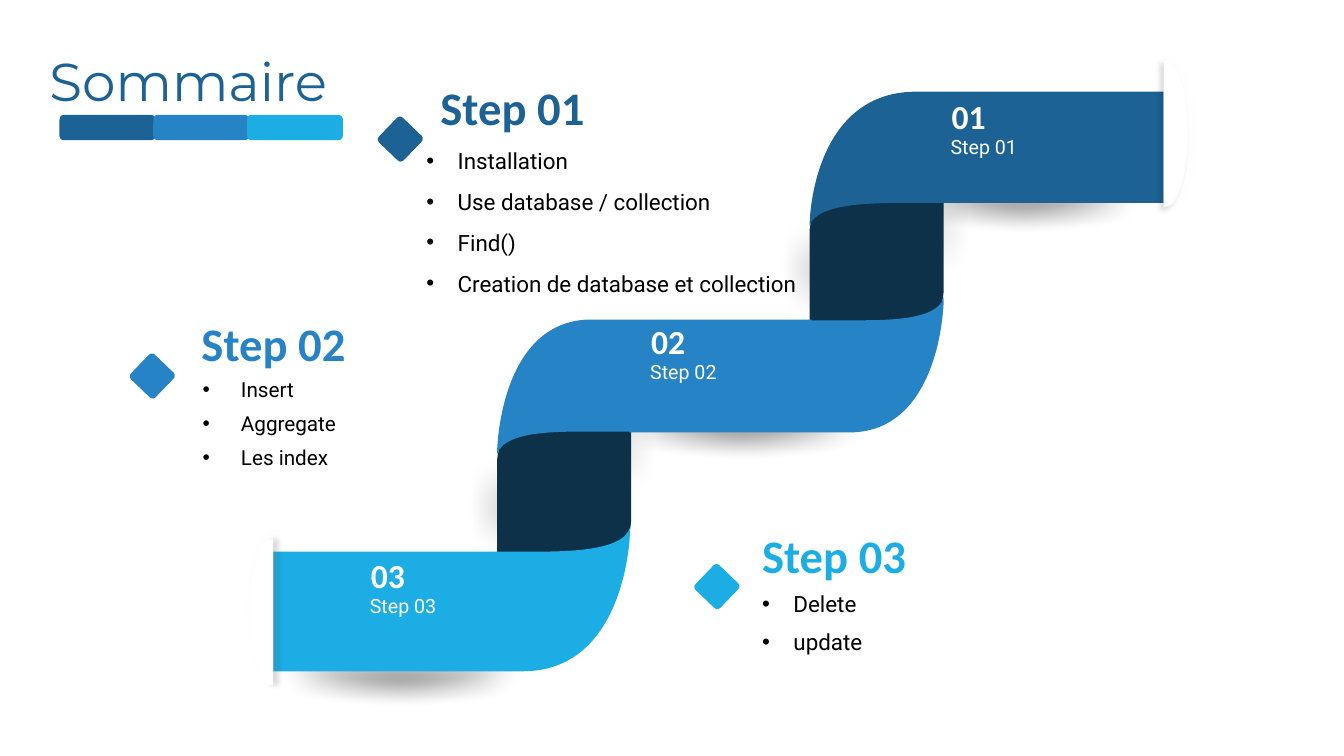
from lxml.etree import SubElement as Sub
from pptx import Presentation
from pptx.dml.color import RGBColor
from pptx.enum.shapes import MSO_SHAPE as Kind
from pptx.enum.text import MSO_ANCHOR as Anchor, MSO_AUTO_SIZE as Auto, PP_ALIGN as Align
from pptx.oxml.ns import qn
from pptx.util import Inches, Pt

NAVY, BLUE, SKY, DARK = "1C6294", "2683C6", "1CADE4", "0E314A"
WHITE, BLACK = "FFFFFF", "000000"
rgb = RGBColor.from_string

BAND = [(.3, 0), (1, 0), (1, .83), (.3, .83),
        (.2, .83, .02, .82, 0, 1), (0, .83, .03, 0, .3, 0)]
FOLD = [(.3, .98), (0, .98), (0, .32), (.05, 0, .47, .01, .69, .01),
        (1, .01), (1, .65), (.96, 1, .53, .98, .3, .98)]
DOME = [(0, 0), (1, 0), (1, .03), (.97, .57, .76, 1, .5, 1),
        (.24, 1, .03, .57, 0, .03)]
FLAP = [(0, 0), (.1, 0), (.58, 0, 1, .22, 1, .5),
        (1, .78, .58, 1, .1, 1), (0, 1)]


def draw(form, box, tint, flip=False):
    x, y, w, h = map(Inches, box)
    if isinstance(form, list):
        pen = shapes.build_freeform(x, y)
        pen.add_line_segments([(x + w, y), (x + w, y + h), (x, y + h)])
        item = pen.convert_to_shape()
        route = next(item.element.iter(qn("a:path")))
        for node in list(route):
            route.remove(node)
        route.set("w", "1000")
        route.set("h", "1000")
        for i, seg in enumerate(form):
            tag = "a:moveTo" if i == 0 else "a:lnTo" if len(seg) == 2 else "a:cubicBezTo"
            node = Sub(route, qn(tag))
            for p, q in zip(seg[::2], seg[1::2]):
                if flip:
                    p, q = 1 - p, 1 - q
                Sub(node, qn("a:pt"), x=str(round(p * 1000)), y=str(round(q * 1000)))
        Sub(route, qn("a:close"))
    else:
        item = shapes.add_shape(form, x, y, w, h)
    item.fill.solid()
    item.fill.fore_color.rgb = rgb(tint)
    item.line.fill.background()
    item.shadow.inherit = False
    return item


def write(item, box, lines, size, face, tint, bold=False, lead=.9, mid=False, dent=0):
    item.left, item.top, item.width, item.height = map(Inches, box)
    frame = item.text_frame
    look = {"word_wrap": True, "auto_size": Auto.NONE,
            "vertical_anchor": Anchor.MIDDLE if mid else Anchor.TOP}
    for key, val in look.items():
        setattr(frame, key, val)
    for i, line in enumerate(lines):
        para = frame.paragraphs[0] if i == 0 else frame.add_paragraph()
        para.text = line
        style = {"alignment": Align.LEFT, "line_spacing": lead,
                 "space_before": Pt(10 if i else 0), "space_after": Pt(0)}
        for key, val in style.items():
            setattr(para, key, val)
        if dent:
            prop = para._p.get_or_add_pPr()
            prop.set("marL", str(Inches(dent)))
            prop.set("indent", str(-Inches(dent)))
            Sub(prop, qn("a:buFont"), typeface="Arial")
            Sub(prop, qn("a:buChar"), char="•")
        font = para.runs[0].font
        for key, val in {"size": Pt(size), "name": face, "bold": bold}.items():
            setattr(font, key, val)
        font.color.rgb = rgb(tint)


deck = Presentation()
deck.slide_width, deck.slide_height = Inches(13.33), Inches(7.5)
slide = deck.slides.add_slide(deck.slide_layouts[4])
shapes = slide.shapes
title, *slots = list(slide.placeholders)
spare = slots.pop()
spare.element.getparent().remove(spare.element)

shades = [
    ((7.5, 1.99, 3.73, .52), 270), ((4.39, 4.14, 3.73, .52), 270),
    ((5.13, 3.96, 4.46, .63), 0), ((3.39, 4.75, 3.04, .55), 90),
    ((6.49, 2.4, 3.04, .55), 90), ((5.03, 5.85, 1.79, .63), 302.5),
    ((8.14, 3.51, 1.75, .63), 294), ((1.74, 6.41, 4.46, .63), 0),
    ((8.03, 1.71, 4.25, .63), 0),
]
for box, turn in shades:
    shade = draw(DOME, box, BLACK)
    shade.rotation = turn
    props = shade.element.spPr
    Sub(props.find(qn("a:solidFill"))[0], qn("a:alpha"), val="74000")
    Sub(props.find(qn("a:effectLst")), qn("a:softEdge"), rad=str(Inches(.25)))

for x, y in [(8.03, 1.7), (4.93, 3.98)]:
    draw(FOLD, (x, y, 1.33, 1.83), DARK)

bands = [
    ((2.7, 5.23, 3.55, 1.43), SKY, True), ((4.93, 3.17, 3.12, 1.34), BLUE, False),
    ((6.24, 2.95, 3.12, 1.34), BLUE, True), ((8.03, .91, 3.52, 1.33), NAVY, False),
]
for box, tint, flip in bands:
    draw(BAND, box, tint, flip)

flaps = [
    (11.54, .64, False, WHITE, 315), (11.54, .6, False, BLACK, 135),
    (2.47, 5.33, True, WHITE, 315), (2.47, 5.35, True, BLACK, 0),
]
for x, y, flip, tint, way in flaps:
    flap = draw(FLAP, (x, y, .24, 1.45), WHITE, flip)
    glow = Sub(flap.element.spPr.find(qn("a:effectLst")), qn("a:outerShdw"),
               blurRad=str(Pt(4)), dist=str(Pt(3)), dir=str(way * 60000), rotWithShape="0")
    hue = Sub(glow, qn("a:srgbClr"), val=tint)
    Sub(hue, qn("a:alpha"), val="15000")

steps = [
    ("01", NAVY, (3.8, 1.21), (9.34, .95), (4.27, .84), False,
     (4.13, 1.41, 4.68, 1.68), 16, 1, .31,
     ["Installation", "Use database / collection", "Find()",
      "Creation de database et collection"]),
    ("02", BLUE, (1.34, 3.56), (6.36, 3.18), (1.9, 3.18), True,
     (1.91, 3.74, 1.9, .99), 14.8, .8, .38, ["Insert", "Aggregate", "Les index"]),
    ("03", SKY, (6.94, 5.65), (3.58, 5.5), (7.46, 5.28), True,
     (7.46, 5.83, 2.89, .98), 16, .9, .31, ["Delete", "update"]),
]
for i, (num, tint, gem, tag, head, mid, box, size, lead, dent, lines) in enumerate(steps):
    mark = draw(Kind.ROUNDED_RECTANGLE, (*gem, .34, .34), tint)
    mark.adjustments[0] = .12
    mark.rotation = 43.9
    x, y = tag
    name = "Step " + num
    texts = [
        ((x, y, .59, .51), num, 24, "Calibri", WHITE, True, .9, False),
        ((x - .01, y + .37, 1.6, .59), name, 14, "Roboto", WHITE, False, .9, False),
        ((*head, 2.42, .55), name, 33.3, "Calibri", tint, True, .8, mid),
    ]
    for spot, text, *style in texts:
        write(shapes.add_textbox(0, 0, 0, 0), spot, [text], *style)
    shapes.element.append(slots[i].element)
    write(slots[i], box, lines, size, "Roboto", BLACK, lead=lead, dent=dent)
    draw(Kind.ROUNDED_RECTANGLE, (.59 + .93 * i, 1.14, .95, .25), tint)

shapes.element.append(title.element)
write(title, (.39, .5, 3.49, 1.14), ["Sommaire"], 38, "Montserrat", NAVY)

deck.save("out.pptx")
